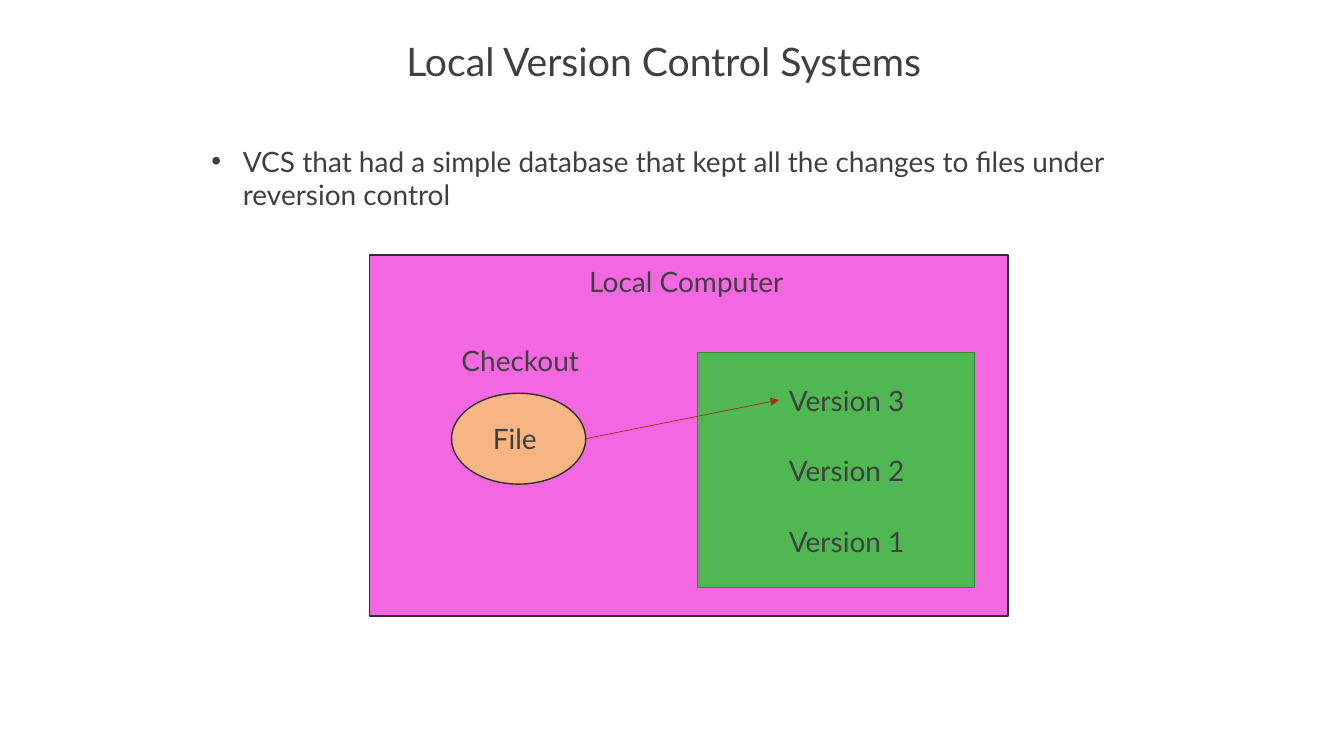
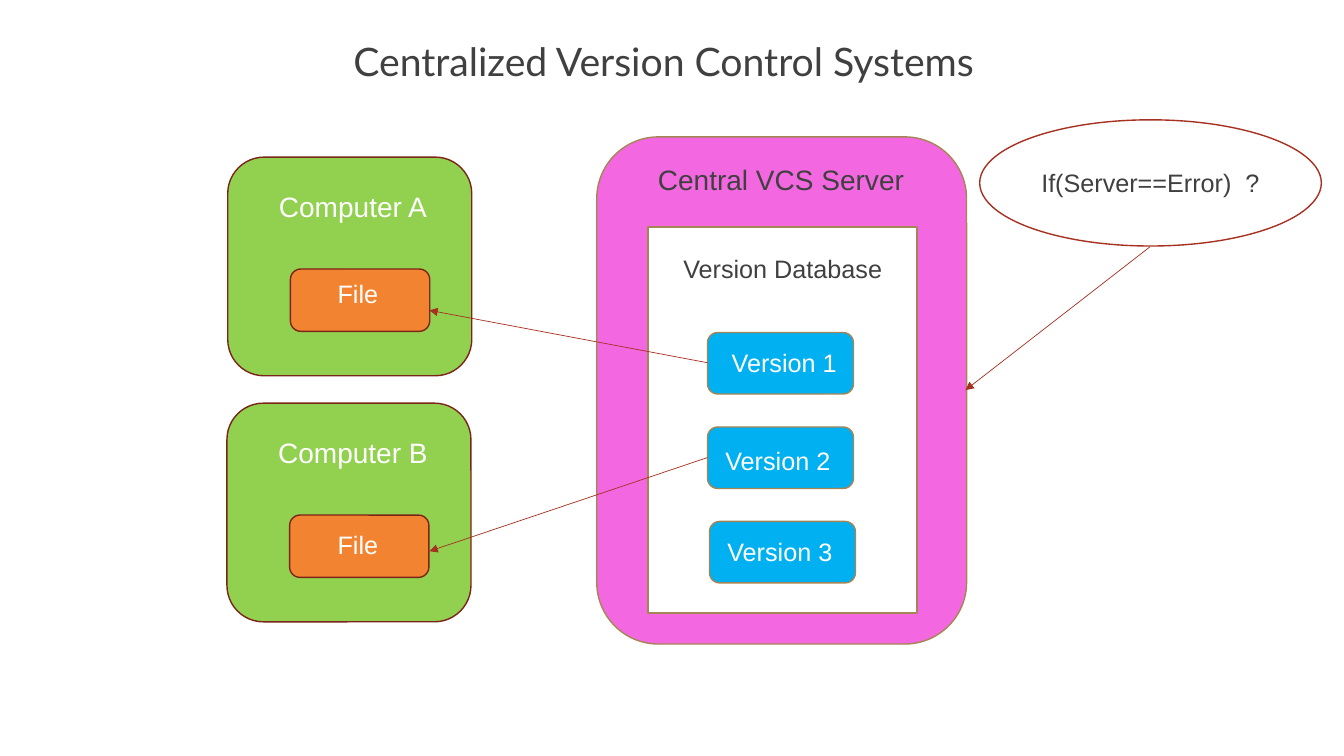
from pptx import Presentation
from pptx.dml.color import RGBColor
from pptx.enum import shapes, text
from pptx.oxml.ns import qn
from pptx.util import Cm, Pt
from lxml import etree

INK = RGBColor(0x40, 0x40, 0x40)
WHITE = RGBColor(0xFF, 0xFF, 0xFF)
PINK = RGBColor(0xF3, 0x68, 0xE0)
GREEN = RGBColor(0x50, 0xB8, 0x52)
DARK_GREEN = RGBColor(0x3B, 0x88, 0x3D)
PEACH = RGBColor(0xF7, 0xB5, 0x83)
CHARCOAL = RGBColor(0x2F, 0x2F, 0x2F)
LIME = RGBColor(0x92, 0xD0, 0x50)
ORANGE = RGBColor(0xF2, 0x83, 0x30)
BLUE = RGBColor(0x00, 0xB0, 0xF0)
TAN = RGBColor(0xA6, 0x85, 0x55)
MAROON = RGBColor(0x7B, 0x24, 0x18)
RED = RGBColor(0xA6, 0x31, 0x21)

RECT = shapes.MSO_SHAPE.RECTANGLE
ROUND = shapes.MSO_SHAPE.ROUNDED_RECTANGLE
OVAL = shapes.MSO_SHAPE.OVAL


def add_run(p, words, size, font, color):
    r = p.add_run()
    r.text = words
    r.font.size = Pt(size)
    r.font.name = font
    r.font.color.rgb = color


def add_titled_slide(prs, title):
    s = prs.slides.add_slide(prs.slide_layouts[5])
    sp = s.shapes.title
    sp.left, sp.top, sp.width, sp.height = Cm(7.62), Cm(0.76), Cm(18.21), Cm(1.7)
    tf = sp.text_frame
    tf.auto_size = text.MSO_AUTO_SIZE.NONE
    tf.vertical_anchor = text.MSO_ANCHOR.MIDDLE
    p = tf.paragraphs[0]
    p.alignment = text.PP_ALIGN.CENTER
    p.line_spacing = 0.9
    add_run(p, title, 28, "Lato", INK)
    return s


def add_box(s, kind, x, y, w, h, fill, line):
    sp = s.shapes.add_shape(kind, Cm(x), Cm(y), Cm(w), Cm(h))
    sp.shadow.inherit = False
    sp.fill.solid()
    sp.fill.fore_color.rgb = fill
    sp.line.color.rgb = line
    sp.line.width = Pt(1)
    return sp


def add_label(s, words, x, y, w, size=20, font="Arial", color=INK, h=1.12):
    tf = s.shapes.add_textbox(Cm(x), Cm(y), Cm(w), Cm(h)).text_frame
    tf.word_wrap = True
    p = tf.paragraphs[0]
    add_run(p, words, size, font, color)
    return p


def add_bullet(s, words, x, y, w, h):
    p = add_label(s, words, x, y, w, font="Lato", h=h)
    pPr = p._p.get_or_add_pPr()
    pPr.set("marL", str(Cm(0.79)))
    pPr.set("indent", str(-Cm(0.79)))
    etree.SubElement(pPr, qn("a:buFont")).set("typeface", "Arial")
    etree.SubElement(pPr, qn("a:buChar")).set("char", "•")


def add_arrow(s, x1, y1, x2, y2):
    c = s.shapes.add_connector(shapes.MSO_CONNECTOR.STRAIGHT,
                               Cm(x1), Cm(y1), Cm(x2), Cm(y2))
    c.line.color.rgb = RED
    c.line.width = Pt(0.5)
    etree.SubElement(c.line._get_or_add_ln(), qn("a:tailEnd")).set("type", "triangle")
    etree.SubElement(c._element.spPr, qn("a:effectLst"))


def add_computer(s, name, x, y, file_y):
    add_box(s, ROUND, x, y, 6.15, 5.51, LIME, MAROON)
    add_label(s, name, x + 1.04, y + 0.7, 4.45, color=WHITE)
    add_box(s, ROUND, x + 1.58, y + 2.82, 3.51, 1.57, ORANGE, MAROON)
    add_label(s, "File", 8.26, file_y, 2.54, 18, color=WHITE, h=1.02)


def build_local(prs):
    s = add_titled_slide(prs, "Local Version Control Systems")
    add_bullet(s, "VCS that had a simple database that kept all the changes "
               "to files under reversion control", 5.08, 3.51, 24.33, 1.96)
    add_box(s, RECT, 9.32, 6.43, 16.08, 9.09, PINK, CHARCOAL)
    add_box(s, RECT, 17.58, 8.89, 6.98, 5.92, GREEN, DARK_GREEN)
    add_box(s, OVAL, 11.38, 9.91, 3.38, 2.29, PEACH, CHARCOAL)
    labels = [("Local Computer", 14.6, 6.55, 5.51),
              ("Checkout", 11.38, 8.53, 3.91),
              ("File", 12.17, 10.49, 1.8)]
    labels += [(f"Version {3 - i}", 19.63, 9.53 + 1.78 * i, 3.91) for i in range(3)]
    for words, x, y, w in labels:
        add_label(s, words, x, y, w, font="Lato")
    add_arrow(s, 14.78, 11.05, 19.63, 10.08)


def build_centralized(prs):
    s = add_titled_slide(prs, "Centralized Version Control Systems")
    add_box(s, ROUND, 15.04, 3.45, 9.32, 12.78, PINK, TAN)
    add_box(s, RECT, 16.33, 5.72, 6.78, 9.73, WHITE, TAN)
    add_label(s, "Central VCS Server", 16.33, 3.96, 6.78)
    add_label(s, "Version Database", 16.97, 6.27, 5.72, 18, h=1.02)
    versions = [(17.83, 18.19, 8.64), (17.83, 18.03, 11.1), (17.88, 18.08, 13.39)]
    for i, (box_x, label_x, label_y) in enumerate(versions):
        add_box(s, ROUND, box_x, 8.38 + 2.38 * i, 3.68, 1.55, BLUE, TAN)
        add_label(s, f"Version {i + 1}", label_x, label_y, 3.3, 18, color=WHITE, h=1.02)
    add_computer(s, "Computer A", 5.74, 3.96, 6.88)
    add_computer(s, "Computer B", 5.72, 10.16, 13.21)
    add_arrow(s, 17.83, 9.14, 10.82, 7.82)
    add_arrow(s, 17.83, 11.53, 10.82, 13.89)
    question = add_box(s, OVAL, 24.69, 3.02, 8.61, 3.18, WHITE, RED)
    tf = question.text_frame
    tf.word_wrap = False
    tf.vertical_anchor = text.MSO_ANCHOR.MIDDLE
    p = tf.paragraphs[0]
    p.alignment = text.PP_ALIGN.CENTER
    add_run(p, "If(Server==Error)  ?", 18, "Arial", INK)
    add_arrow(s, 28.98, 6.22, 24.33, 9.83)


def main():
    prs = Presentation()
    prs.slide_width, prs.slide_height = Cm(33.87), Cm(19.05)
    build_local(prs)
    build_centralized(prs)
    prs.save("out.pptx")


if __name__ == "__main__":
    main()
